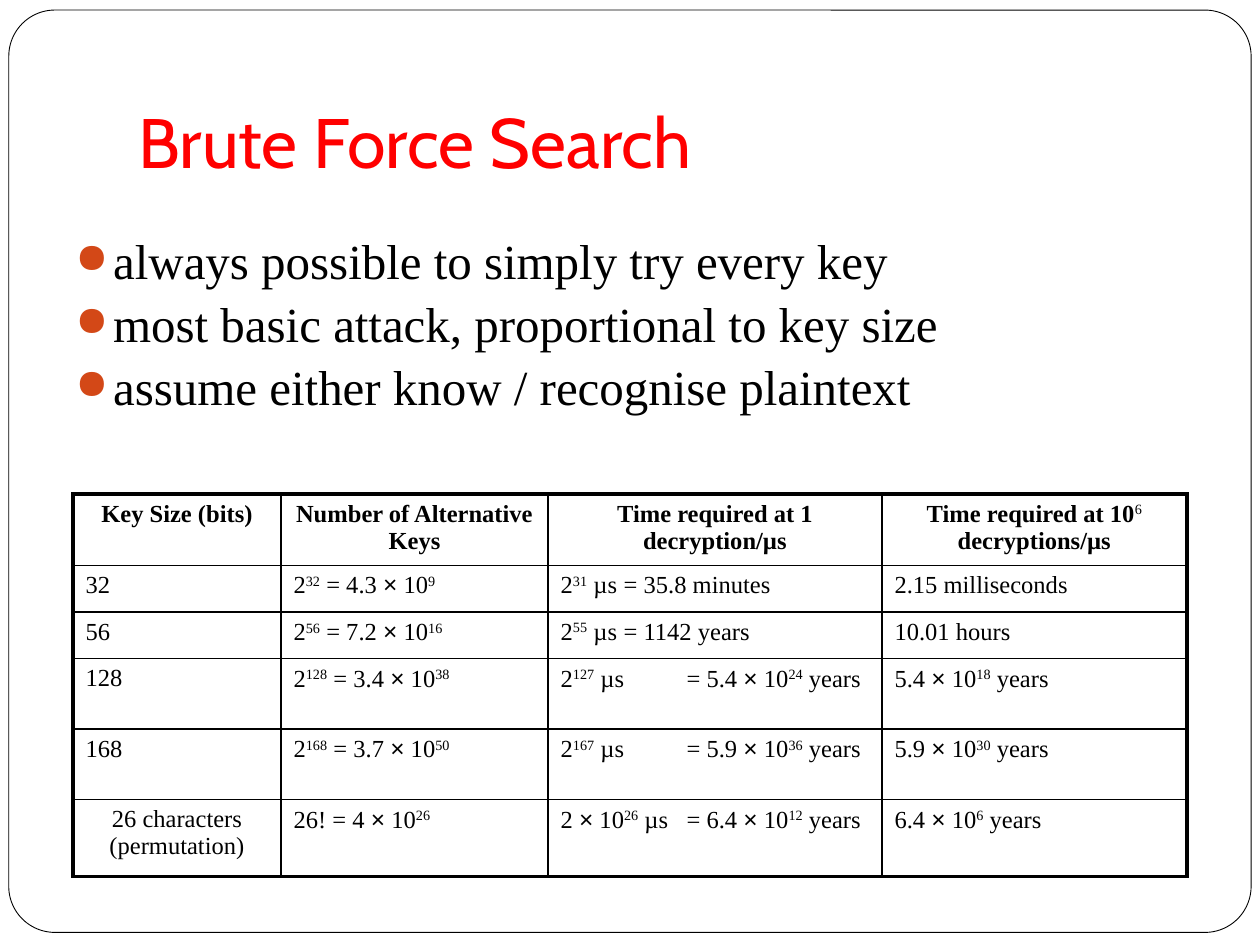
from dataclasses import dataclass

from lxml import etree
from pptx import Presentation
from pptx.dml.color import RGBColor
from pptx.enum.shapes import MSO_SHAPE
from pptx.enum.text import MSO_ANCHOR, PP_ALIGN
from pptx.oxml.ns import qn
from pptx.util import Inches, Pt

ROUNDED = MSO_SHAPE.ROUNDED_RECTANGLE
TOP, BOTTOM = MSO_ANCHOR.TOP, MSO_ANCHOR.BOTTOM
LEFT, CENTER = PP_ALIGN.LEFT, PP_ALIGN.CENTER


@dataclass(frozen=True)
class Theme:
    ink: str = "000000"
    paper: str = "FFFFFF"
    title: str = "FF0000"
    bullet: str = "D34817"
    title_font: str = "Cabin"
    text_font: str = "Times New Roman"
    symbol_font: str = "Arial"
    title_size: float = 40
    body_size: float = 28
    table_size: float = 14
    frame_line: float = 0.5
    inner_line: float = 1
    outer_line: float = 2.25


# In table text, ^...^ marks a superscript
HEADERS = ["Key Size (bits)", "Number of Alternative Keys",
           "Time required at 1 decryption/µs",
           "Time required at 10^6^ decryptions/µs"]
ROWS = [
    ["32", "2^32^ = 4.3 × 10^9^", "2^31^ µs\t= 35.8 minutes", "2.15 milliseconds"],
    ["56", "2^56^ = 7.2 × 10^16^", "2^55^ µs\t= 1142 years", "10.01 hours"],
    ["128", "2^128^ = 3.4 × 10^38^", "2^127^ µs\t= 5.4 × 10^24^ years",
     "5.4 × 10^18^ years"],
    ["168", "2^168^ = 3.7 × 10^50^", "2^167^ µs\t= 5.9 × 10^36^ years",
     "5.9 × 10^30^ years"],
    ["26 characters (permutation)", "26! = 4 × 10^26^",
     "2 × 10^26^ µs\t= 6.4 × 10^12^ years", "6.4 × 10^6^ years"],
]
COL_WIDTHS = [1.65, 2.12, 2.65, 2.42]
ROW_HEIGHTS = [0.53, 0.37, 0.37, 0.56, 0.56, 0.61]
BULLETS = ["always possible to simply try every key",
           "most basic attack, proportional to key size",
           "assume either know / recognise plaintext"]


class SlideBuilder:
    def __init__(self, slide, theme):
        self.s, self.theme = slide, theme

    def format(self, font, name, size, color, **extra):
        for key, value in {"name": name, "size": Pt(size), **extra}.items():
            setattr(font, key, value)
        font.color.rgb = RGBColor.from_string(color)

    def frame(self, box, radius):
        t = self.theme
        sp = self.s.shapes.add_shape(ROUNDED, *map(Inches, box))
        sp.adjustments[0] = radius
        sp.shadow.inherit = False
        sp.fill.solid()
        sp.fill.fore_color.rgb = RGBColor.from_string(t.paper)
        sp.line.color.rgb = RGBColor.from_string(t.ink)
        sp.line.width = Pt(t.frame_line)

    def text_box(self, box, **settings):
        tf = self.s.shapes.add_textbox(*map(Inches, box)).text_frame
        for key, value in {"word_wrap": True, **settings}.items():
            setattr(tf, key, value)
        return tf

    def title(self, text, box):
        t = self.theme
        tf = self.text_box(box, vertical_anchor=BOTTOM, margin_bottom=Inches(0.1))
        r = tf.paragraphs[0].add_run()
        r.text = text
        self.format(r.font, t.title_font, t.title_size, t.title)

    def bullets(self, items, box):
        t = self.theme
        tf = self.text_box(box, vertical_anchor=TOP)
        for i, item in enumerate(items):
            p = tf.add_paragraph() if i else tf.paragraphs[0]
            p.line_spacing = 0.9
            p.space_before = Pt(5.8 if i else 0)
            pPr = p._p.get_or_add_pPr()
            pPr.set("marL", str(Inches(0.3)))
            pPr.set("indent", str(Inches(-0.3)))
            color = etree.SubElement(pPr, qn("a:buClr"))
            etree.SubElement(color, qn("a:srgbClr"), val=t.bullet)
            etree.SubElement(pPr, qn("a:buSzPct"), val="85000")
            etree.SubElement(pPr, qn("a:buChar"), char="●")
            r = p.add_run()
            r.text = item
            self.format(r.font, t.text_font, t.body_size, t.ink)

    def rich_text(self, p, text, bold):
        """Split out superscripts and set the times sign in the symbol font."""
        t = self.theme
        for i, part in enumerate(text.split("^")):
            raised = i % 2 == 1
            for piece in filter(None, part.partition("×")):
                r = p.add_run()
                r.text = piece
                name = t.symbol_font if piece == "×" else t.text_font
                self.format(r.font, name, t.table_size, t.ink,
                            bold=bold and not raised)
                if raised:
                    r.font._element.set("baseline", "30000")

    def borders(self, cell, outer):
        """Draw the four sides; outer tells which lie on the table's edge."""
        t = self.theme
        tcPr = cell._tc.get_or_add_tcPr()
        for i, (side, edge) in enumerate(zip("LRTB", outer)):
            width = t.outer_line if edge else t.inner_line
            ln = etree.Element(qn(f"a:ln{side}"), w=str(Pt(width)))
            fill = etree.SubElement(ln, qn("a:solidFill"))
            etree.SubElement(fill, qn("a:srgbClr"), val=t.ink)
            tcPr.insert(i, ln)

    def table(self, rows, left, top, widths, heights):
        box = (left, top, sum(widths), sum(heights))
        table = self.s.shapes.add_table(len(rows), len(widths),
                                        *map(Inches, box)).table
        table.first_row = table.horz_banding = False
        for col, width in zip(table.columns, widths):
            col.width = Inches(width)
        for row, height in zip(table.rows, heights):
            row.height = Inches(height)
        last_row, last_col = len(rows) - 1, len(widths) - 1
        for i, row in enumerate(rows):
            for j, text in enumerate(row):
                cell = table.cell(i, j)
                cell.fill.background()
                self.borders(cell, (j == 0, j == last_col, i == 0, i == last_row))
                p = cell.text_frame.paragraphs[0]
                centered = i == 0 or (i == last_row and j == 0)
                p.alignment = CENTER if centered else LEFT
                self.rich_text(p, text, bold=i == 0)


def main():
    prs = Presentation()
    prs.slide_width, prs.slide_height = Inches(10), Inches(7.5)
    s = SlideBuilder(prs.slides.add_slide(prs.slide_layouts[6]), Theme())

    # Frame and heading
    s.frame((0.07, 0.08, 9.86, 7.32), 0.05)
    s.title("Brute Force Search", (1, 0.3, 8.5, 1.25))

    # Key points
    s.bullets(BULLETS, (0.5, 1.83, 9, 2))

    # Search times by key size
    s.table([HEADERS, *ROWS], 0.58, 3.92, COL_WIDTHS, ROW_HEIGHTS)

    prs.save("out.pptx")


if __name__ == "__main__":
    main()
